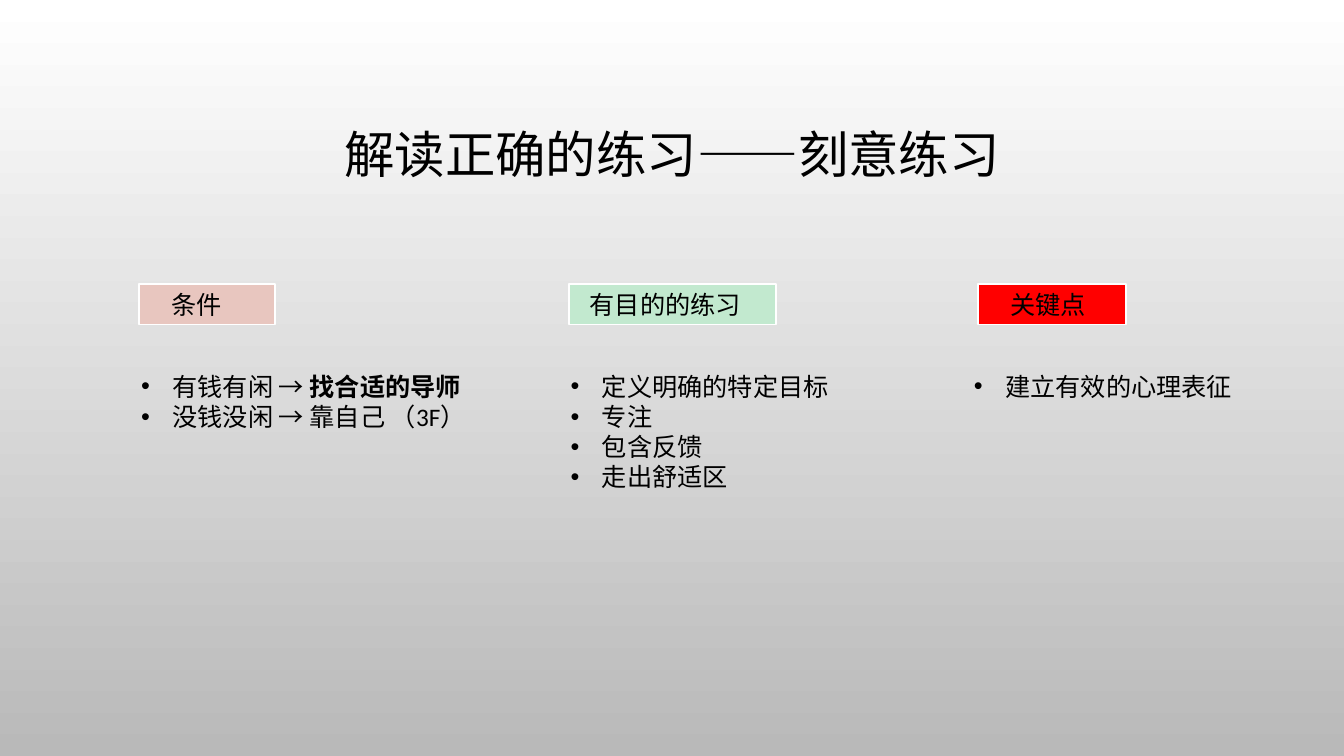
from lxml import etree
from pptx import Presentation
from pptx.dml.color import RGBColor
from pptx.enum.shapes import MSO_SHAPE
from pptx.enum.text import MSO_ANCHOR, MSO_AUTO_SIZE, PP_ALIGN
from pptx.oxml.ns import qn
from pptx.util import Inches, Pt

RECT = MSO_SHAPE.RECTANGLE
TOP, MIDDLE = MSO_ANCHOR.TOP, MSO_ANCHOR.MIDDLE
LEFT, CENTER = PP_ALIGN.LEFT, PP_ALIGN.CENTER
NO_FIT = MSO_AUTO_SIZE.NONE

FONT = "Calibri"
COLORS = {"text": "000000", "line": "FFFFFF", "top": "FFFFFF", "base": "B9B9B9",
          "pink": "E8C6BF", "green": "C2E9CF", "red": "FF0000"}
TITLE = "解读正确的练习——刻意练习"
GROUPS = [
    {"label": "条件", "fill": "pink", "box": (1.38, 1.35), "inset": 0.32,
     "list": (1.3, 3.79),
     "items": [[("有钱有闲 → ", False), ("找合适的导师", True)],
               [("没钱没闲 → 靠自己 （3F）", False)]]},
    {"label": "有目的的练习", "fill": "green", "box": (5.64, 2.06), "inset": 0.21,
     "list": (5.56, 2.99),
     "items": [[("定义明确的特定目标", False)], [("专注", False)],
               [("包含反馈", False)], [("走出舒适区", False)]]},
    {"label": "关键点", "fill": "red", "box": (9.7, 1.47), "inset": 0.32,
     "list": (9.56, 3.36),
     "items": [[("建立有效的心理表征", False)]]},
]
BOX_TOP, BOX_HIGH = 2.82, 0.4
LIST_TOP, ROW, PAD = 3.63, 0.3, 0.1
INDENT = 0.31


def color(name):
    return RGBColor.from_string(COLORS[name])


def style(run, size, bold=False):
    run.font.name = FONT
    run.font.size = Pt(size)
    run.font.bold = bold
    run.font.color.rgb = color("text")


def place(shape, left, top, wide, high):
    shape.left, shape.top = Inches(left), Inches(top)
    shape.width, shape.height = Inches(wide), Inches(high)


def bullet(para):
    props = para._p.get_or_add_pPr()
    props.set("marL", str(Inches(INDENT)))
    props.set("indent", str(-Inches(INDENT)))
    etree.SubElement(props, qn("a:buFont")).set("typeface", "Arial")
    etree.SubElement(props, qn("a:buChar")).set("char", "•")


def add_label(slide, group):
    left, wide = group["box"]
    box = slide.shapes.add_shape(RECT, Inches(left), Inches(BOX_TOP),
                                 Inches(wide), Inches(BOX_HIGH))
    box.shadow.inherit = False
    box.fill.solid()
    box.fill.fore_color.rgb = color(group["fill"])
    box.line.color.rgb = color("line")
    box.line.width = Pt(1.25)
    frame = box.text_frame
    frame.text = group["label"]
    frame.margin_left = Inches(group["inset"])
    frame.margin_right = 0
    frame.vertical_anchor = MIDDLE
    para = frame.paragraphs[0]
    para.alignment = LEFT
    style(para.runs[0], 18)


def fill_list(body, group):
    left, wide = group["list"]
    items = group["items"]
    place(body, left, LIST_TOP, wide, PAD + ROW * len(items))
    frame = body.text_frame
    frame.word_wrap = True
    frame.auto_size = NO_FIT
    frame.vertical_anchor = TOP
    for i, parts in enumerate(items):
        para = frame.add_paragraph() if i else frame.paragraphs[0]
        para.alignment = LEFT
        para.line_spacing = 1.0
        para.space_before = para.space_after = Pt(0)
        bullet(para)
        for text, bold in parts:
            run = para.add_run()
            run.text = text
            style(run, 18, bold)


def main():
    deck = Presentation()
    deck.slide_width, deck.slide_height = Inches(13.33), Inches(7.5)
    slide = deck.slides.add_slide(deck.slide_layouts.get_by_name("Comparison"))

    back = slide.background.fill
    back.gradient()
    back.gradient_angle = 270
    for stop, name, spot in zip(back.gradient_stops, ("top", "base"), (0, 1)):
        stop.color.rgb = color(name)
        stop.position = spot

    title = slide.shapes.title
    place(title, 1, 0.68, 11.33, 1.75)
    title.text_frame.text = TITLE
    title.text_frame.vertical_anchor = MIDDLE
    para = title.text_frame.paragraphs[0]
    para.alignment = CENTER
    para.line_spacing = 0.9
    style(para.runs[0], 36)

    bodies = [p for p in slide.placeholders if 1 <= p.placeholder_format.idx <= 4]
    for group, body in zip(GROUPS, bodies):
        add_label(slide, group)
        fill_list(body, group)
    for spare in bodies[len(GROUPS):]:
        spare.element.getparent().remove(spare.element)

    deck.save("out.pptx")


if __name__ == "__main__":
    main()
